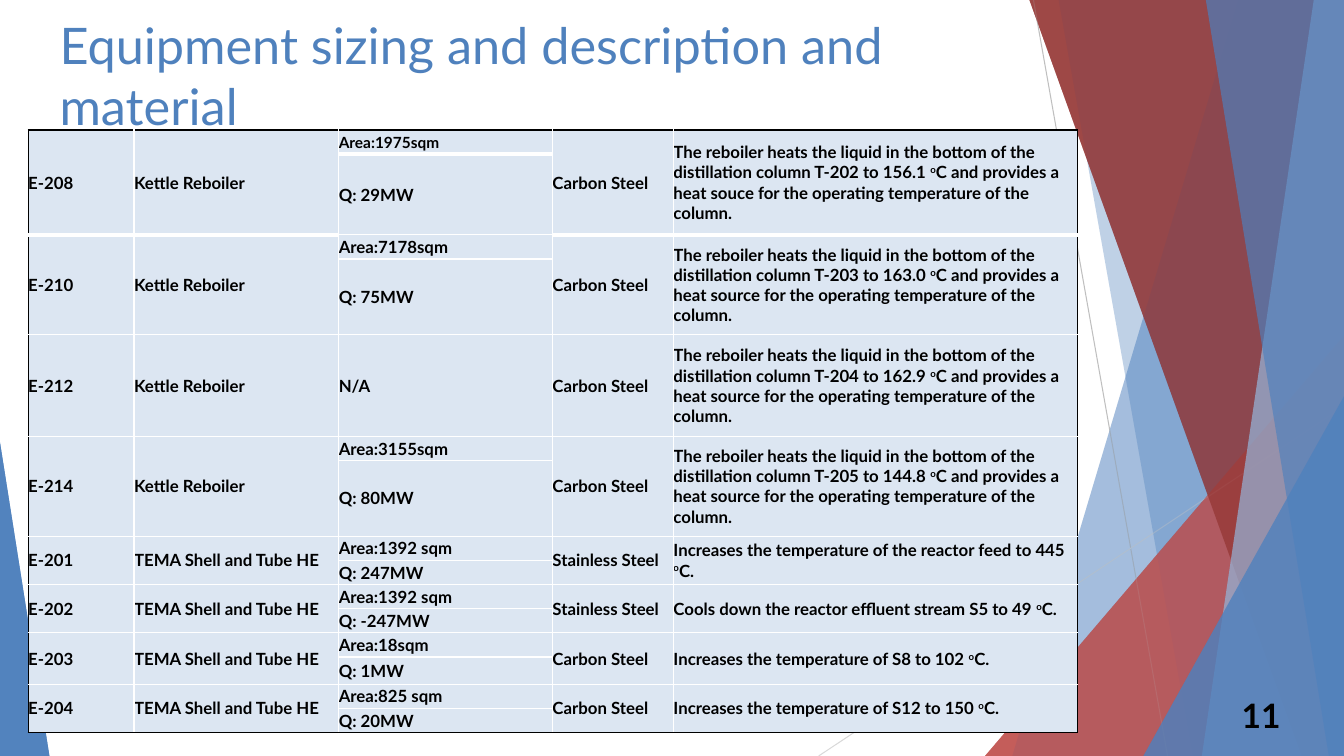
from lxml import etree
from pptx import Presentation
from pptx.dml.color import RGBColor
from pptx.enum.shapes import MSO_CONNECTOR, MSO_SHAPE
from pptx.enum.text import MSO_ANCHOR, MSO_AUTO_SIZE, PP_ALIGN
from pptx.oxml.ns import qn
from pptx.util import Inches, Pt

STRAIGHT = MSO_CONNECTOR.STRAIGHT
TRIANGLE = MSO_SHAPE.ISOSCELES_TRIANGLE
TOP, MIDDLE = MSO_ANCHOR.TOP, MSO_ANCHOR.MIDDLE
LEFT, RIGHT = PP_ALIGN.LEFT, PP_ALIGN.RIGHT
NO_AUTOFIT = MSO_AUTO_SIZE.NONE

COLORS = {
    "blue": "4F81BD", "red": "C0504D", "dark_red": "953735", "light_blue": "95B3D7",
    "cell": "DCE6F2", "black": "000000", "white": "FFFFFF",
    "grey": "BFBFBF", "light_grey": "D9D9D9",
}
WIDTH, HEIGHT = 13.33, 7.5

# Bands reach the right edge: top-left x, bottom-left x, colour, opacity
BACK_BANDS = [(12.28, 10.04, "blue", 30), (10.5, 11.83, "blue", 20)]
FRONT_BANDS = [(10.21, 12.91, "dark_red", 70), (13.03, 11.92, "light_blue", 70),
               (11.96, 13.18, "blue", 65)]
# Triangles stand on the bottom edge: left, top, width, apex, colour, opacity
BACK_TRIANGLE = (9.77, 3.33, 3.56, 1, "red", 72)
FRONT_TRIANGLES = [(11.34, 3.93, 1.99, 1, "blue", 80), (0, 4.39, 0.49, 0, "blue", 85)]

COLUMN_WIDTHS = [1.05, 2.03, 2.12, 1.2, 4.01]
REBOILER, EXCHANGER = "Kettle Reboiler", "TEMA Shell and Tube HE"
CARBON, STAINLESS = "Carbon Steel", "Stainless Steel"
DUTY = ("The reboiler heats the liquid in the bottom of the distillation column {} oC "
        "and provides a heat {} for the operating temperature of the column.")
# Tag, type, sizing as (text, row height), material, description
EQUIPMENT = [
    ("E-208", REBOILER, [("Area:1975sqm", 0.24), ("Q: 29MW", 0.75)], CARBON,
     DUTY.format("T-202 to 156.1", "souce")),
    ("E-210", REBOILER, [("Area:7178sqm", 0.24), ("Q: 75MW", 0.75)], CARBON,
     DUTY.format("T-203 to 163.0", "source")),
    ("E-212", REBOILER, [("N/A", 1.01)], CARBON,
     DUTY.format("T-204 to 162.9", "source")),
    ("E-214", REBOILER, [("Area:3155sqm", 0.24), ("Q: 80MW", 0.75)], CARBON,
     DUTY.format("T-205 to 144.8", "source")),
    ("E-201", EXCHANGER, [("Area:1392 sqm", 0.24), ("Q: 247MW", 0.24)], STAINLESS,
     "Increases the temperature of the reactor feed to 445 oC."),
    ("E-202", EXCHANGER, [("Area:1392 sqm", 0.24), ("Q: -247MW", 0.24)], STAINLESS,
     "Cools down the reactor effluent stream S5 to 49 oC."),
    ("E-203", EXCHANGER, [("Area:18sqm", 0.24), ("Q: 1MW", 0.27)], CARBON,
     "Increases the temperature of S8 to 102 oC."),
    ("E-204", EXCHANGER, [("Area:825 sqm", 0.24), ("Q: 20MW", 0.24)], CARBON,
     "Increases the temperature of S12 to 150 oC."),
]


class SlideBuilder:
    def __init__(self, slide, font="Lato"):
        self.slide = slide
        self.shapes = slide.shapes
        self.font = font

    def color(self, name):
        return RGBColor.from_string(COLORS[name])

    def add_run(self, paragraph, text, size, color="black", bold=True):
        run = paragraph.add_run()
        run.text = text
        run.font.name = self.font
        run.font.size = Pt(size)
        run.font.bold = bold
        run.font.color.rgb = self.color(color)
        return run

    def tint(self, shape, color, opacity):
        shape.shadow.inherit = False
        shape.line.fill.background()
        shape.fill.solid()
        shape.fill.fore_color.rgb = self.color(color)
        solid = shape.element.spPr.find(qn("a:solidFill"))
        etree.SubElement(solid[0], qn("a:alpha"), val=str(opacity * 1000))

    def band(self, top_x, bottom_x, color, opacity):
        """Fill the area from a slanted left side to the right edge of the slide."""
        outline = self.shapes.build_freeform(Inches(top_x), 0)
        corners = [(WIDTH, 0), (WIDTH, HEIGHT), (bottom_x, HEIGHT)]
        outline.add_line_segments([(Inches(x), Inches(y)) for x, y in corners])
        self.tint(outline.convert_to_shape(), color, opacity)

    def triangle(self, left, top, width, apex, color, opacity):
        shape = self.shapes.add_shape(TRIANGLE, Inches(left), Inches(top),
                                      Inches(width), Inches(HEIGHT - top))
        shape.adjustments[0] = apex
        self.tint(shape, color, opacity)

    def facets(self):
        for band in BACK_BANDS:
            self.band(*band)
        self.triangle(*BACK_TRIANGLE)
        for band in FRONT_BANDS:
            self.band(*band)
        for triangle in FRONT_TRIANGLES:
            self.triangle(*triangle)

    def line(self, start, end, color):
        points = [Inches(value) for value in start + end]
        connector = self.shapes.add_connector(STRAIGHT, *points)
        connector.line.color.rgb = self.color(color)
        connector.line.width = Pt(0.75)
        etree.SubElement(connector.element.spPr, qn("a:effectLst"))

    def title(self, text, left, top, width, height):
        """Format the title placeholder and bring it in front of the facets."""
        title = self.shapes.title
        self.shapes.element.append(title.element)
        title.left, title.top = Inches(left), Inches(top)
        title.width, title.height = Inches(width), Inches(height)
        frame = title.text_frame
        frame.word_wrap = True
        frame.auto_size = NO_AUTOFIT
        frame.vertical_anchor = TOP
        frame.paragraphs[0].alignment = LEFT
        self.add_run(frame.paragraphs[0], text, 36, "blue", bold=False)

    def page_number(self, text, left, top, width, height):
        box = self.shapes.add_textbox(Inches(left), Inches(top), Inches(width), Inches(height))
        frame = box.text_frame
        frame.word_wrap = True
        frame.vertical_anchor = MIDDLE
        paragraph = frame.paragraphs[0]
        paragraph.alignment = RIGHT
        paragraph.space_after = Pt(6)
        self.add_run(paragraph, text, 24)

    def style_cell(self, cell, borders):
        """Set borders, given as side: (colour, points), then fill and margins."""
        properties = cell._tc.get_or_add_tcPr()
        for side in "LRTB":
            color, points = borders.get(side, ("white", 1))
            border = etree.SubElement(properties, qn("a:ln" + side), w=str(Pt(points)))
            fill = etree.SubElement(border, qn("a:solidFill"))
            etree.SubElement(fill, qn("a:srgbClr"), val=COLORS[color])
        cell.fill.solid()
        cell.fill.fore_color.rgb = self.color("cell")
        cell.margin_left = cell.margin_right = cell.margin_top = cell.margin_bottom = 0
        cell.vertical_anchor = MIDDLE

    def write_cell(self, cell, text, size=12):
        """Write the text, raising the degree letter in "oC"."""
        paragraph = cell.text_frame.paragraphs[0]
        before, degree, after = text.partition(" oC")
        if not degree:
            self.add_run(paragraph, text, size)
            return
        self.add_run(paragraph, before + " ", size)
        self.add_run(paragraph, "o", size).font._element.set("baseline", "30000")
        self.add_run(paragraph, "C" + after, size)

    def equipment_table(self, left, top):
        heights = [height for item in EQUIPMENT for _, height in item[2]]
        last_row, last_column = len(heights) - 1, len(COLUMN_WIDTHS) - 1
        table = self.shapes.add_table(
            len(heights), len(COLUMN_WIDTHS), Inches(left), Inches(top),
            Inches(sum(COLUMN_WIDTHS)), Inches(sum(heights))).table
        table.first_row = table.horz_banding = False
        for column, width in zip(table.columns, COLUMN_WIDTHS):
            column.width = Inches(width)
        for row, height in zip(table.rows, heights):
            row.height = Inches(height)

        first = 0
        for tag, kind, sizing, material, description in EQUIPMENT:
            last = first + len(sizing) - 1
            for column, text in enumerate([tag, kind, None, material, description]):
                for row in range(first, last + 1):
                    start, end = (row, row) if text is None else (first, last)
                    borders = {}
                    if column == 0:
                        borders["L"] = ("black", 1)
                    if column == last_column:
                        borders["R"] = ("black", 1)
                    if start == 0:
                        borders.update(T=("black", 1), B=("white", 3))
                    if end == last_row:
                        borders["B"] = ("black", 1)
                    self.style_cell(table.cell(row, column), borders)
                    if text is None:
                        self.write_cell(table.cell(row, column), sizing[row - first][0],
                                        11 if row == 0 else 12)
                if text is not None:
                    self.write_cell(table.cell(first, column), text)
                    if last > first:
                        table.cell(first, column).merge(table.cell(last, column))
            first = last + 1


def main():
    presentation = Presentation()
    presentation.slide_width, presentation.slide_height = Inches(WIDTH), Inches(HEIGHT)
    builder = SlideBuilder(presentation.slides.add_slide(presentation.slide_layouts[5]))
    builder.facets()
    builder.line((10.25, 0), (11.58, HEIGHT), "grey")
    builder.line((WIDTH, 4.03), (8.12, HEIGHT), "light_grey")
    builder.facets()  # the second layer deepens the tints
    builder.title("Equipment sizing and description and material", 0.49, 0.09, 9.4, 1.44)
    builder.equipment_table(0.28, 1.29)
    builder.page_number("11", 12.05, 6.89, 0.75, 0.4)
    presentation.save("out.pptx")


if __name__ == "__main__":
    main()
